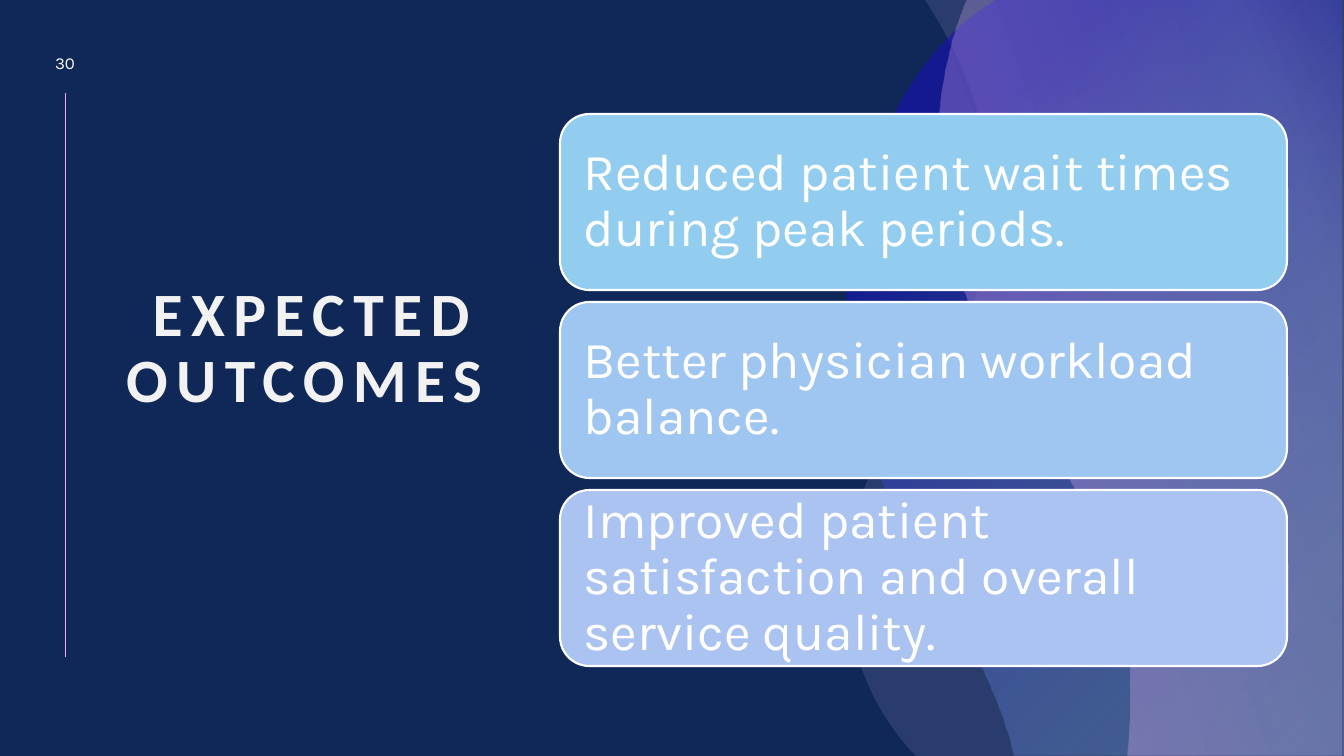
from lxml import etree
from pptx import Presentation
from pptx.dml.color import RGBColor
from pptx.enum.shapes import MSO_CONNECTOR, MSO_SHAPE
from pptx.enum.text import MSO_ANCHOR, PP_ALIGN
from pptx.oxml.ns import qn
from pptx.util import Pt

LEFT, CENTER = PP_ALIGN.LEFT, PP_ALIGN.CENTER
MIDDLE, BOTTOM = MSO_ANCHOR.MIDDLE, MSO_ANCHOR.BOTTOM
STRAIGHT, ROUNDED = MSO_CONNECTOR.STRAIGHT, MSO_SHAPE.ROUNDED_RECTANGLE

COLORS = {
    "navy": "102857", "white": "FFFFFF", "title": "F2F2F2", "pink": "F6A6F4",
    "lilac": "C3B9F2", "indigo": "180DC2",
    "sky": "92CDF0", "azure": "9FC6F0", "periwinkle": "ABC3F0",
}
PAGE_NUMBER = "30"
TITLE = "EXPECTED OUTCOMES "
OUTCOMES = [
    ("Reduced patient wait times during peak periods.", "sky"),
    ("Better physician workload balance.", "azure"),
    ("Improved patient satisfaction and overall service quality.", "periwinkle"),
]

# Each wave is a start point, then lines (one point) and Bezier curves (three points).
# Gradient stops are (position %, color, opacity %).
WAVES = [
    {"outline": [[(925, 0)], [(1344, 0)], [(1344, 756)], [(916, 756)], [(915, 755)],
                 [(877, 716), (845, 653), (846, 573)],
                 [(847, 430), (988, 369), (991, 217)],
                 [(993, 122), (958, 52), (927, 3)]],
     "stops": [(0, "lilac", 14)]},
    {"outline": [[(996, 0)], [(1341, 0)], [(1341, 756)], [(1014, 756)], [(1009, 737)],
                 [(964, 588), (847, 496), (846, 325)],
                 [(845, 166), (916, 55), (981, 10)]],
     "stops": [(4, "sky", 24), (79, "indigo", 52)]},
    {"outline": [[(967, 0)], [(1344, 0)], [(1344, 756)], [(1127, 756)], [(1129, 727)],
                 [(1130, 714), (1130, 700), (1130, 686)],
                 [(1126, 462), (939, 371), (938, 160)],
                 [(937, 107), (946, 59), (960, 18)]],
     "stops": [(1, "pink", 38), (84, "lilac", 20), (100, "pink", 3)], "angle": 340},
]

SLIDE_W, SLIDE_H = 1344, 756
EMU_PER_PX = 914400 / 100.8
CARD_X, CARD_Y, CARD_W, CARD_H, CARD_PITCH = 560, 114, 727, 176, 188


def px(length):
    return round(length * EMU_PER_PX)


def rgb(name):
    return RGBColor.from_string(COLORS[name])


def add_node(parent, tag, **attributes):
    node = etree.SubElement(parent, qn(tag))
    for key, value in attributes.items():
        node.set(key, str(value))
    return node


def add_color(parent, name, opacity):
    color = add_node(parent, "a:srgbClr", val=COLORS[name])
    add_node(color, "a:alpha", val=opacity * 1000)


def add_outline(slide, outline):
    """Build the outline from its end points, then bend the curved segments."""
    ends = [(px(x), px(y)) for x, y in (segment[-1] for segment in outline)]
    builder = slide.shapes.build_freeform(*ends[0], scale=1.0)
    builder.add_line_segments(ends[1:], close=True)
    shape = builder.convert_to_shape()
    lines = list(shape.element.spPr.iter(qn("a:lnTo")))
    for line, segment in zip(lines, outline[1:]):
        if len(segment) == 3:
            curve = etree.Element(qn("a:cubicBezTo"))
            for x, y in segment:
                add_node(curve, "a:pt", x=px(x) - shape.left, y=px(y) - shape.top)
            line.getparent().replace(line, curve)
    return shape


def add_wave(slide, outline, stops, angle=None):
    """Draw a translucent wave: one stop is solid, no angle is radial."""
    wave = add_outline(slide, outline)
    wave.shadow.inherit = False
    wave.line.fill.background()
    if len(stops) == 1:
        fill = etree.Element(qn("a:solidFill"))
        add_color(fill, *stops[0][1:])
    else:
        fill = etree.Element(qn("a:gradFill"), rotWithShape="1")
        stop_list = add_node(fill, "a:gsLst")
        for position, color, opacity in stops:
            add_color(add_node(stop_list, "a:gs", pos=position * 1000), color, opacity)
        if angle is None:
            radial = add_node(fill, "a:path", path="circle")
            add_node(radial, "a:fillToRect", l=100000, t=100000)
        else:
            add_node(fill, "a:lin", ang=angle * 60000, scaled=0)
    wave.element.spPr.find(qn("a:custGeom")).addnext(fill)


def write(shape, text, font="Karla", size=12, color="white", bold=False, align=LEFT,
          anchor=MIDDLE, margins=(10, 5), line_spacing=1.0, tracking=0):
    frame = shape.text_frame
    frame.word_wrap = True
    frame.vertical_anchor = anchor
    frame.margin_left = frame.margin_right = px(margins[0])
    frame.margin_top = frame.margin_bottom = px(margins[1])
    paragraph = frame.paragraphs[0]
    paragraph.alignment = align
    paragraph.line_spacing = line_spacing
    run = paragraph.add_run()
    run.text = text
    run.font.name = font
    run.font.size = Pt(size)
    run.font.bold = bold
    run.font.color.rgb = rgb(color)
    if tracking:
        run.font._element.set("spc", str(tracking * 100))


def add_text(slide, text, box, **text_format):
    write(slide.shapes.add_textbox(*map(px, box)), text, **text_format)


def add_card(slide, text, color, top):
    card = slide.shapes.add_shape(ROUNDED, *map(px, (CARD_X, top, CARD_W, CARD_H)))
    card.shadow.inherit = False
    card.fill.solid()
    card.fill.fore_color.rgb = rgb(color)
    card.line.color.rgb = rgb("white")
    card.line.width = Pt(1.5)
    write(card, text, size=37, margins=(15, 0), line_spacing=0.9)


def main():
    deck = Presentation()
    deck.slide_width, deck.slide_height = px(SLIDE_W), px(SLIDE_H)
    slide = deck.slides.add_slide(deck.slide_layouts[6])
    slide.background.fill.solid()
    slide.background.fill.fore_color.rgb = rgb("navy")

    rule = slide.shapes.add_connector(STRAIGHT, *map(px, (65, 93, 65, 657)))
    rule.line.color.rgb = rgb("pink")
    rule.line.width = Pt(0.5)
    add_node(rule.element.spPr, "a:effectLst")

    for wave in WAVES:
        add_wave(slide, **wave)

    add_text(slide, PAGE_NUMBER, (36, 46, 58, 34), align=CENTER)
    add_text(slide, TITLE, (94, 303, 443, 118), font="Calibri", size=44, color="title",
             bold=True, align=CENTER, anchor=BOTTOM, line_spacing=0.9, tracking=6)
    for row, (text, color) in enumerate(OUTCOMES):
        add_card(slide, text, color, CARD_Y + row * CARD_PITCH)

    deck.save("out.pptx")


if __name__ == "__main__":
    main()
